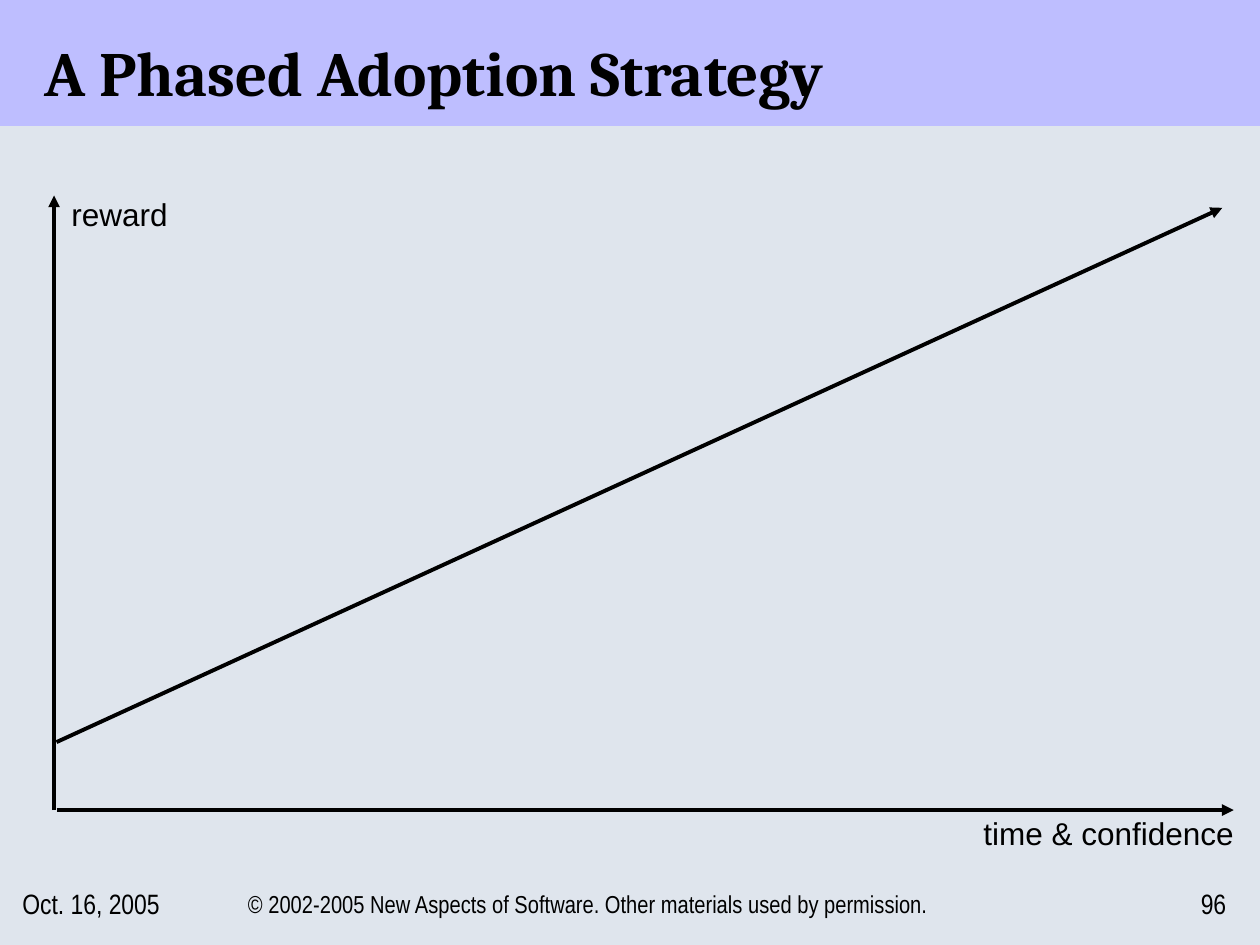
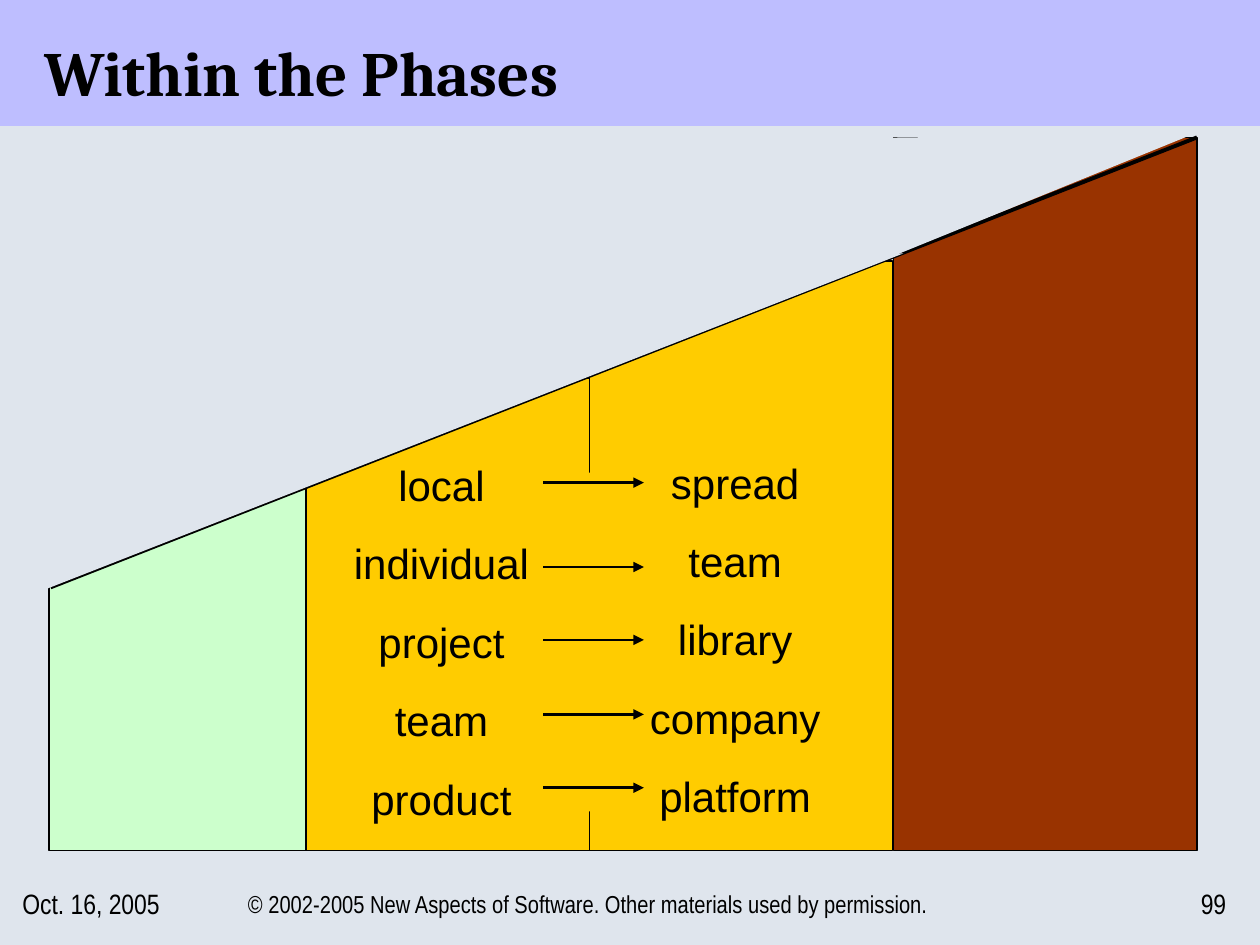
from dataclasses import dataclass

from pptx import Presentation
from pptx import util as u
from pptx.dml.color import RGBColor
from pptx.enum import shapes, text
from pptx.oxml.ns import qn
from lxml import etree

INK = "000000"
PAPER = "DFE5ED"
BAND = "BEBEFF"
GOLD = "FFCC00"
MINT = "CCFFCC"
RUST = "993300"

LEFT, CENTER, RIGHT = text.PP_ALIGN.LEFT, text.PP_ALIGN.CENTER, text.PP_ALIGN.RIGHT
TOP, MIDDLE, BOTTOM = text.MSO_ANCHOR.TOP, text.MSO_ANCHOR.MIDDLE, text.MSO_ANCHOR.BOTTOM
RECTANGLE = shapes.MSO_SHAPE.RECTANGLE


@dataclass(frozen=True)
class Area:
    """A place on the slide, in centimetres."""
    left: float
    top: float
    width: float
    height: float

    def lengths(self) -> list:
        return [u.Cm(n) for n in (self.left, self.top, self.width, self.height)]


@dataclass(frozen=True)
class Style:
    size: float
    font: str = "Arial"
    align: text.PP_ALIGN = CENTER
    anchor: text.MSO_ANCHOR = TOP
    bold: bool = False
    wrap: bool = True
    inset: bool = True
    gap: float = 0


@dataclass(frozen=True)
class Line:
    start: tuple
    end: tuple
    weight: float = 2.25
    arrow: bool = True


@dataclass(frozen=True)
class Phase:
    left: float
    top: float
    width: float
    fill: str


TITLE = Style(36, "Cambria", LEFT, BOTTOM, bold=True)
LABEL = Style(18)
STAGES = Style(24, gap=16)

FOOTER_TOP, FOOTER_HEIGHT = 17.58, 1.27
COPYRIGHT = "© 2002-2005 New Aspects of Software. Other materials used by permission."
DATE = "Oct. 16, 2005"

AXES_AND_TREND = [
    Line((1.14, 16.33), (24.87, 16.33)),
    Line((1.09, 16.33), (1.09, 3.94)),
    Line((1.14, 14.96), (24.64, 4.19)),
]

GROUND = 17.15
PHASES = [
    Phase(5.87, 7.62, 6.12, GOLD),
    Phase(0.99, 9.73, 5.18, MINT),
    Phase(11.89, 5.26, 6.1, GOLD),
    Phase(18.01, 2.77, 6.12, RUST),
]
SLOPE = Line((1.02, 11.84), (24.13, 2.77), arrow=False)
SKY = [(0.97, 11.86), (0.97, 8.69), (10.31, 5.16), (18.21, 5.11)]
EARLY_STAGES = ["local", "individual", "project", "team", "product"]
LATE_STAGES = ["spread", "team", "library", "company", "platform"]
STEP_HEIGHTS = [9.73, 11.43, 12.9, 14.4, 15.88]


def color(code: str) -> RGBColor:
    return RGBColor.from_string(code)


def paint(shape, fill: str, outline: bool = False) -> None:
    shape.shadow.inherit = False
    shape.fill.solid()
    shape.fill.fore_color.rgb = color(fill)
    if outline:
        shape.line.color.rgb = color(INK)
        shape.line.width = u.Pt(0.75)
    else:
        shape.line.fill.background()


def add_block(slide, area: Area, fill: str, kind=RECTANGLE, outline: bool = False):
    shape = slide.shapes.add_shape(kind, *area.lengths())
    paint(shape, fill, outline)
    return shape


def add_text(slide, area: Area, lines: list[str], style: Style) -> None:
    frame = slide.shapes.add_textbox(*area.lengths()).text_frame
    frame.word_wrap = style.wrap
    frame.vertical_anchor = style.anchor
    if not style.inset:
        frame.margin_left = frame.margin_top = frame.margin_right = frame.margin_bottom = 0
    frame.text = "\n".join(lines)
    for index, para in enumerate(frame.paragraphs):
        para.alignment = style.align
        if index and style.gap:
            para.space_before = u.Pt(style.gap)
        for span in para.runs:
            span.font.name = style.font
            span.font.size = u.Pt(style.size)
            span.font.bold = style.bold
            span.font.color.rgb = color(INK)


def add_line(slide, line: Line) -> None:
    ends = [u.Cm(n) for n in (*line.start, *line.end)]
    connector = slide.shapes.add_connector(shapes.MSO_CONNECTOR.STRAIGHT, *ends)
    connector.line.color.rgb = color(INK)
    connector.line.width = u.Pt(line.weight)
    properties = connector._element.spPr
    if line.arrow:
        outline = properties.find(qn("a:ln"))
        etree.SubElement(outline, qn("a:tailEnd"), type="triangle")
    etree.SubElement(properties, qn("a:effectLst"))


def add_page(deck, title: str, number: int):
    """Add a slide with the title band and the footer."""
    page = deck.slides.add_slide(deck.slide_layouts[6])
    page.background.fill.solid()
    page.background.fill.fore_color.rgb = color(PAPER)
    add_block(page, Area(0, 0, 25.4, 2.54), BAND)
    add_text(page, Area(0.64, 0.43, 24.33, 1.9), [title], TITLE)
    footers = [
        (4.45, 14.81, COPYRIGHT, 14, CENTER),
        (23.5, 1.47, str(number), 16, RIGHT),
        (0.2, 4.24, DATE, 16, LEFT),
    ]
    for left, width, words, size, align in footers:
        style = Style(size, "Arial Narrow", align, MIDDLE)
        add_text(page, Area(left, FOOTER_TOP, width, FOOTER_HEIGHT), [words], style)
    return page


def build_strategy(deck) -> None:
    page = add_page(deck, "A Phased Adoption Strategy", 96)
    add_text(page, Area(1.19, 3.81, 2.44, 1.02), ["reward"], Style(18, wrap=False))
    add_text(page, Area(19.3, 16.41, 6.1, 0.76), ["time & confidence"],
             Style(18, inset=False))
    for line in AXES_AND_TREND:
        add_line(page, line)


def cut_slope(page) -> None:
    """Cover the phase corners that rise above the slope."""
    corners = [(u.Cm(x), u.Cm(y)) for x, y in SKY]
    builder = page.shapes.build_freeform(*corners[0])
    builder.add_line_segments(corners[1:], close=True)
    paint(builder.convert_to_shape(), PAPER)
    corner = add_block(page, Area(17.68, 2.74, 6.4, 2.51), PAPER,
                       shapes.MSO_SHAPE.RIGHT_TRIANGLE)
    corner.rotation = 359.3
    corner._element.spPr.find(qn("a:xfrm")).set("flipV", "1")


def build_phases(deck) -> None:
    page = add_page(deck, "Within the Phases", 99)
    for phase in PHASES:
        area = Area(phase.left, phase.top, phase.width, GROUND - phase.top)
        add_block(page, area, phase.fill, outline=True)
    add_line(page, SLOPE)
    add_text(page, Area(6.5, 9.14, 4.8, 7.47), EARLY_STAGES, STAGES)
    add_text(page, Area(11.53, 9.09, 6.58, 7.47), LATE_STAGES, STAGES)
    add_block(page, Area(11.35, 9.53, 0.99, 6.83), GOLD)
    for height in STEP_HEIGHTS:
        add_line(page, Line((10.95, height), (12.98, height), weight=1.5))
    cut_slope(page)


def main() -> None:
    deck = Presentation()
    deck.slide_width, deck.slide_height = u.Cm(25.4), u.Cm(19.05)
    build_strategy(deck)
    build_phases(deck)
    deck.save("out.pptx")


if __name__ == "__main__":
    main()
